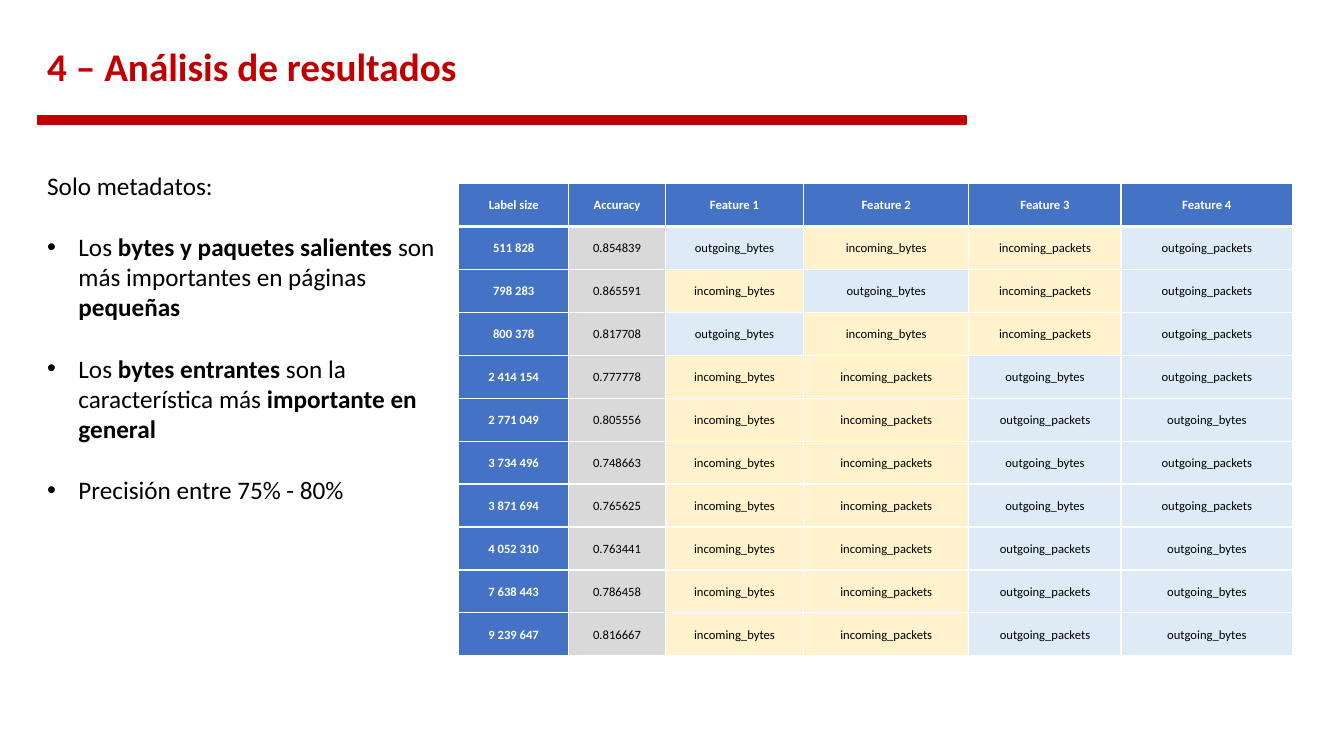
import lxml.etree
import pptx
import pptx.dml.color
import pptx.enum.shapes
import pptx.enum.text
import pptx.oxml.ns
import pptx.util

Inches = pptx.util.Inches
Pt = pptx.util.Pt
qn = pptx.oxml.ns.qn

RED, BLUE, WHITE, BLACK, GREY = "C00000", "4472C4", "FFFFFF", "000000", "D9D9D9"
INCOMING_FILL, OUTGOING_FILL = "FFF2CC", "DEEBF7"


def color(hex_value):
    return pptx.dml.color.RGBColor.from_string(hex_value)


def add_run(paragraph, text, size, hex_value, bold=False):
    run = paragraph.add_run()
    run.text = text
    font_format = {"name": "Calibri", "size": Pt(size), "bold": bold}
    for name, value in font_format.items():
        setattr(run.font, name, value)
    run.font.color.rgb = color(hex_value)


presentation = pptx.Presentation()
presentation.slide_width = Inches(13.33)
presentation.slide_height = Inches(7.5)
slide = presentation.slides.add_slide(presentation.slide_layouts[6])

# Title and rule
title = slide.shapes.add_textbox(Inches(0.37), Inches(0.38), Inches(9.32), Inches(0.61))
title.text_frame.word_wrap = True
title.text_frame.vertical_anchor = pptx.enum.text.MSO_ANCHOR.MIDDLE
title.text_frame.paragraphs[0].line_spacing = 0.9
add_run(title.text_frame.paragraphs[0], "4 – Análisis de resultados", 28, RED, True)

rule = slide.shapes.add_shape(
    pptx.enum.shapes.MSO_SHAPE.RECTANGLE, Inches(0.37), Inches(1.15), Inches(9.21), Inches(0.08)
)
rule.shadow.inherit = False
rule.fill.solid()
rule.fill.fore_color.rgb = color(RED)
rule.line.color.rgb = color(RED)
rule.line.width = Pt(1)

# Results table
in_bytes, in_packets = "incoming_bytes", "incoming_packets"
out_bytes, out_packets = "outgoing_bytes", "outgoing_packets"
results = [
    ("Label size", "Accuracy", "Feature 1", "Feature 2", "Feature 3", "Feature 4"),
    ("511 828", "0.854839", out_bytes, in_bytes, in_packets, out_packets),
    ("798 283", "0.865591", in_bytes, out_bytes, in_packets, out_packets),
    ("800 378", "0.817708", out_bytes, in_bytes, in_packets, out_packets),
    ("2 414 154", "0.777778", in_bytes, in_packets, out_bytes, out_packets),
    ("2 771 049", "0.805556", in_bytes, in_packets, out_packets, out_bytes),
    ("3 734 496", "0.748663", in_bytes, in_packets, out_bytes, out_packets),
    ("3 871 694", "0.765625", in_bytes, in_packets, out_bytes, out_packets),
    ("4 052 310", "0.763441", in_bytes, in_packets, out_packets, out_bytes),
    ("7 638 443", "0.786458", in_bytes, in_packets, out_packets, out_bytes),
    ("9 239 647", "0.816667", in_bytes, in_packets, out_packets, out_bytes),
]
column_widths = [1.09, 0.96, 1.37, 1.64, 1.51, 1.7]
cell_format = {
    "margin_left": Inches(0.07),
    "margin_right": Inches(0.07),
    "margin_top": 0,
    "margin_bottom": 0,
    "vertical_anchor": pptx.enum.text.MSO_ANCHOR.MIDDLE,
}
cell_paragraph_format = {
    "alignment": pptx.enum.text.PP_ALIGN.CENTER,
    "line_spacing": 1.07,
    "space_after": Pt(8),
}

table = slide.shapes.add_table(
    len(results), len(column_widths), Inches(4.55), Inches(1.82), Inches(8.28), Inches(4.69)
).table
for column, width in zip(table.columns, column_widths):
    column.width = Inches(width)

for row_index, row in enumerate(results):
    for column_index, text in enumerate(row):
        cell = table.cell(row_index, column_index)
        for name, value in cell_format.items():
            setattr(cell, name, value)

        is_header = row_index == 0 or column_index == 0
        if is_header:
            fill = BLUE
        elif column_index == 1:
            fill = GREY
        else:
            fill = INCOMING_FILL if text.startswith("incoming") else OUTGOING_FILL

        cell_properties = cell._tc.get_or_add_tcPr()
        for side in "LRTB":
            under_header = (row_index, side) in [(0, "B"), (1, "T")]
            border = lxml.etree.SubElement(cell_properties, qn(f"a:ln{side}"))
            border.set("w", str(Pt(3 if under_header else 1)))
            border_fill = lxml.etree.SubElement(border, qn("a:solidFill"))
            lxml.etree.SubElement(border_fill, qn("a:srgbClr")).set("val", WHITE)
        cell.fill.solid()
        cell.fill.fore_color.rgb = color(fill)

        paragraph = cell.text_frame.paragraphs[0]
        for name, value in cell_paragraph_format.items():
            setattr(paragraph, name, value)
        add_run(paragraph, text, 9, WHITE if is_header else BLACK, is_header)

# Findings: each paragraph is a list of (text, bold) runs
findings = [
    [("Solo metadatos:", False)],
    [
        ("Los ", False),
        ("bytes y paquetes salientes ", True),
        ("son más importantes en páginas ", False),
        ("pequeñas", True),
    ],
    [
        ("Los ", False),
        ("bytes entrantes ", True),
        ("son la característica más ", False),
        ("importante en general", True),
    ],
    [("Precisión entre 75% - 80%", False)],
]
findings_box = slide.shapes.add_textbox(Inches(0.37), Inches(1.64), Inches(4.06), Inches(3.43))
findings_frame = findings_box.text_frame
findings_frame.word_wrap = True
for index, runs in enumerate(findings):
    paragraph = findings_frame.add_paragraph() if index else findings_frame.paragraphs[0]
    if index:
        paragraph.space_before = Pt(22)
        paragraph_properties = paragraph._p.get_or_add_pPr()
        paragraph_properties.set("marL", str(Inches(0.31)))
        paragraph_properties.set("indent", str(-Inches(0.31)))
        lxml.etree.SubElement(paragraph_properties, qn("a:buFont")).set("typeface", "Arial")
        lxml.etree.SubElement(paragraph_properties, qn("a:buChar")).set("char", "•")
    for text, bold in runs:
        add_run(paragraph, text, 18, BLACK, bold)

presentation.save("out.pptx")
